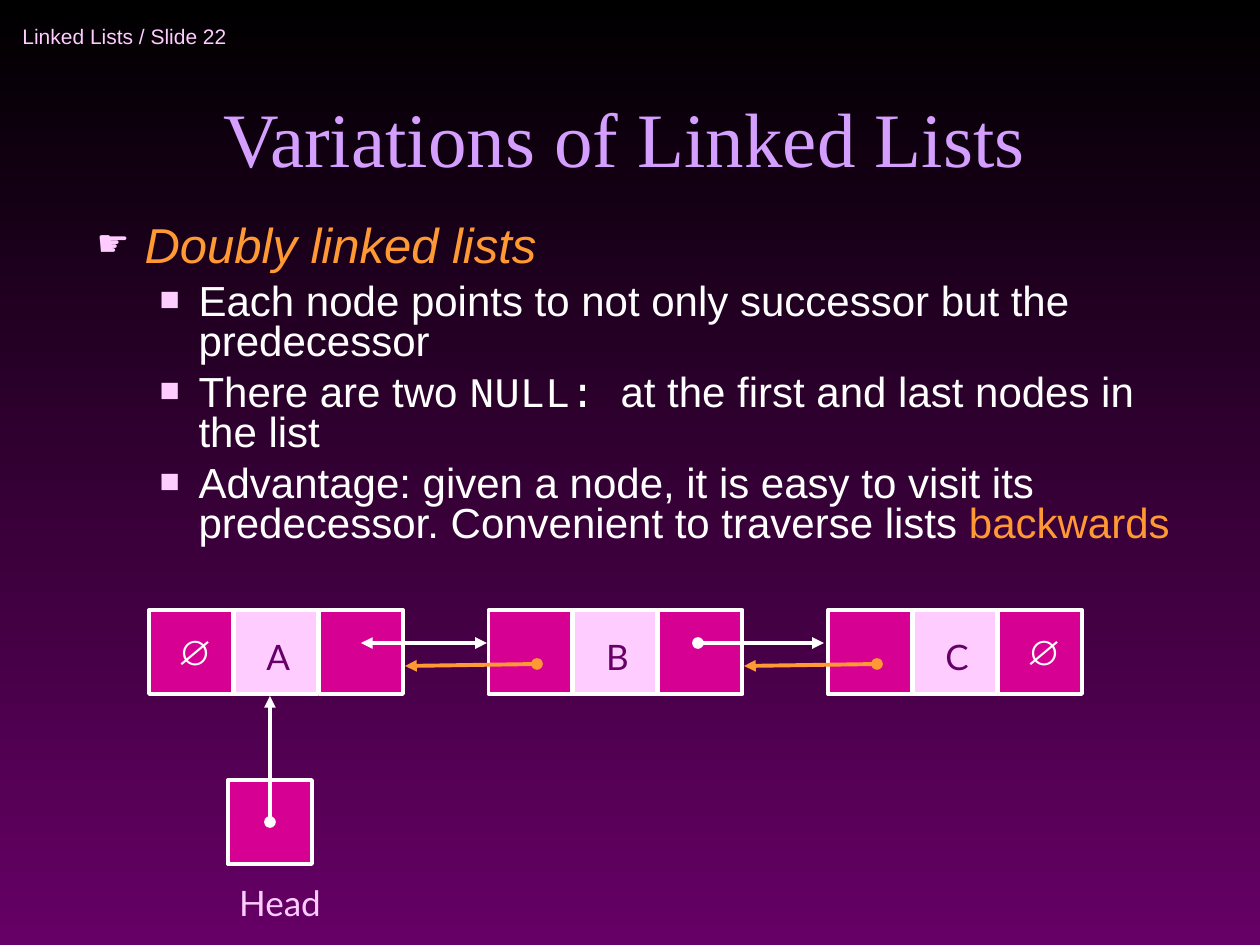
"""Builds the slide on doubly linked lists."""
from lxml import etree
from pptx import Presentation
from pptx import util as u
from pptx.dml import color as dml
from pptx.enum import shapes, text
from pptx.oxml import ns

COLORS = {"black": "000000", "purple": "660066", "lilac": "D49FFF", "pink": "FFCCFF",
          "magenta": "D60093", "orange": "FF9933", "white": "FFFFFF"}
HEADER = "Linked Lists / Slide 22"
TITLE = "Variations of Linked Lists"
BODY = [
    (0, [("Doubly linked lists", dict(size=28, color="orange", italic=True))]),
    (1, [("Each node points to not only successor but the predecessor", {})]),
    (1, [("There are two ", {}), ("NULL: ", dict(font="Courier New")),
         ("at the first and last nodes in the list", {})]),
    (1, [("Advantage: given a node, it is easy to visit its predecessor. "
          "Convenient to traverse lists ", {}), ("backwards", dict(color="orange"))]),
]
LEVELS = [dict(bullet="☛", percent=75, left=48, hang=48, before=0),
          dict(bullet="■", percent=80, left=102, hang=39, before=6)]
NODES = [("∅", "A", ""), ("", "B", ""), ("", "C", "∅")]
CELL, STEP, PITCH, LEFT, TOP = 84, 85, 339.5, 149, 610
HEAD_CELL = (228, 780)
ARROWS = [
    ((361, 643), (487, 643), "white", "triangle"),
    ((698, 643), (824, 643), "white", "oval"),
    ((537, 664), (405, 666), "orange", "oval"),
    ((877, 664), (744, 666), "orange", "oval"),
    ((270, 822), (270, 696), "white", "oval"),
]
EMU_PER_PX = 914400 / 126


def px(length):
    return u.Emu(round(length * EMU_PER_PX))


def rgb(name):
    return dml.RGBColor.from_string(COLORS[name])


def write(para, words, size=24, font="Arial", color="white", bold=False, italic=False):
    span = para.add_run()
    span.text = words
    span.font.size, span.font.name = u.Pt(size), font
    span.font.bold, span.font.italic = bold, italic
    span.font.color.rgb = rgb(color)


def place(shape, left, top, width, height):
    shape.left, shape.top, shape.width, shape.height = map(px, (left, top, width, height))


def add_label(page, words, left, top, width, height=55, align="CENTER", **style):
    box = page.shapes.add_textbox(*map(px, (left, top, width, height)))
    box.text_frame.word_wrap = False
    para = box.text_frame.paragraphs[0]
    para.alignment = text.PP_ALIGN[align]
    write(para, words, **style)
    return box


def add_cell(page, left, top, fill):
    cell = page.shapes.add_shape(shapes.MSO_SHAPE.RECTANGLE, *map(px, (left, top, CELL, CELL)))
    cell.shadow.inherit = False
    cell.fill.solid()
    cell.fill.fore_color.rgb = rgb(fill)
    cell.line.color.rgb = rgb("white")
    cell.line.width = u.Pt(2.25)


def add_arrow(page, start, end, color, head):
    arrow = page.shapes.add_connector(shapes.MSO_CONNECTOR.STRAIGHT, *map(px, start + end))
    arrow.line.color.rgb = rgb(color)
    arrow.line.width = u.Pt(2.25)
    line = arrow.line._get_or_add_ln()
    for tag, kind in (("a:headEnd", head), ("a:tailEnd", "triangle")):
        etree.SubElement(line, ns.qn(tag), type=kind)
    etree.SubElement(arrow._element.spPr, ns.qn("a:effectLst"))


def set_bullet(para, bullet, percent, left, hang, before):
    props = para._p.get_or_add_pPr()
    props.set("marL", str(px(left)))
    props.set("indent", str(-px(hang)))
    tint = etree.SubElement(props, ns.qn("a:buClr"))
    etree.SubElement(tint, ns.qn("a:srgbClr"), val=COLORS["pink"])
    etree.SubElement(props, ns.qn("a:buSzPct"), val=str(percent * 1000))
    etree.SubElement(props, ns.qn("a:buChar"), char=bullet)
    para.line_spacing, para.space_before = 0.8, u.Pt(before)


def paint_background(page):
    fill = page.background.fill
    fill.gradient()
    fill.gradient_angle = 270
    for stop, position, color in zip(fill.gradient_stops, (0, 1), ("black", "purple")):
        stop.position = position
        stop.color.rgb = rgb(color)


def fill_placeholders(page):
    title, body = page.shapes.title, page.placeholders[1]
    place(title, 84, 32, 1081, 157)
    place(body, 84, 220, 1124, 368)
    for holder, anchor in ((title, "BOTTOM"), (body, "TOP")):
        holder.text_frame.auto_size = text.MSO_AUTO_SIZE.NONE
        holder.text_frame.vertical_anchor = text.MSO_ANCHOR[anchor]
    heading = title.text_frame.paragraphs[0]
    heading.alignment = text.PP_ALIGN.CENTER
    write(heading, TITLE, size=44, font="Times New Roman", color="lilac")
    for index, (level, spans) in enumerate(BODY):
        frame = body.text_frame
        para = frame.add_paragraph() if index else frame.paragraphs[0]
        para.level = level
        set_bullet(para, **LEVELS[level])
        for words, style in spans:
            write(para, words, **style)


def draw_list(page):
    for number, (before, name, after) in enumerate(NODES):
        left = LEFT + number * PITCH
        for column, fill in enumerate(("magenta", "pink", "magenta")):
            add_cell(page, left + column * STEP, TOP, fill)
        add_label(page, name, left + STEP + 20, 629, 48, size=20, font="Lato", color="purple")
        for column, mark in ((0, before), (2, after)):
            if mark:
                add_label(page, mark, left + column * STEP + 16, 624, 53, size=20, bold=True)
    add_cell(page, *HEAD_CELL, "magenta")
    add_label(page, "Head", 224, 875, 112, size=20, font="Lato", color="pink")
    for arrow in ARROWS:
        add_arrow(page, *arrow)


def main():
    deck = Presentation()
    deck.slide_width, deck.slide_height = px(1260), px(945)
    page = deck.slides.add_slide(deck.slide_layouts[1])
    paint_background(page)
    header = add_label(page, HEADER, 10, 10, 347, 53, align="LEFT", size=12, color="pink")
    header.text_frame.vertical_anchor = text.MSO_ANCHOR.MIDDLE
    fill_placeholders(page)
    draw_list(page)
    deck.save("out.pptx")


if __name__ == "__main__":
    main()
